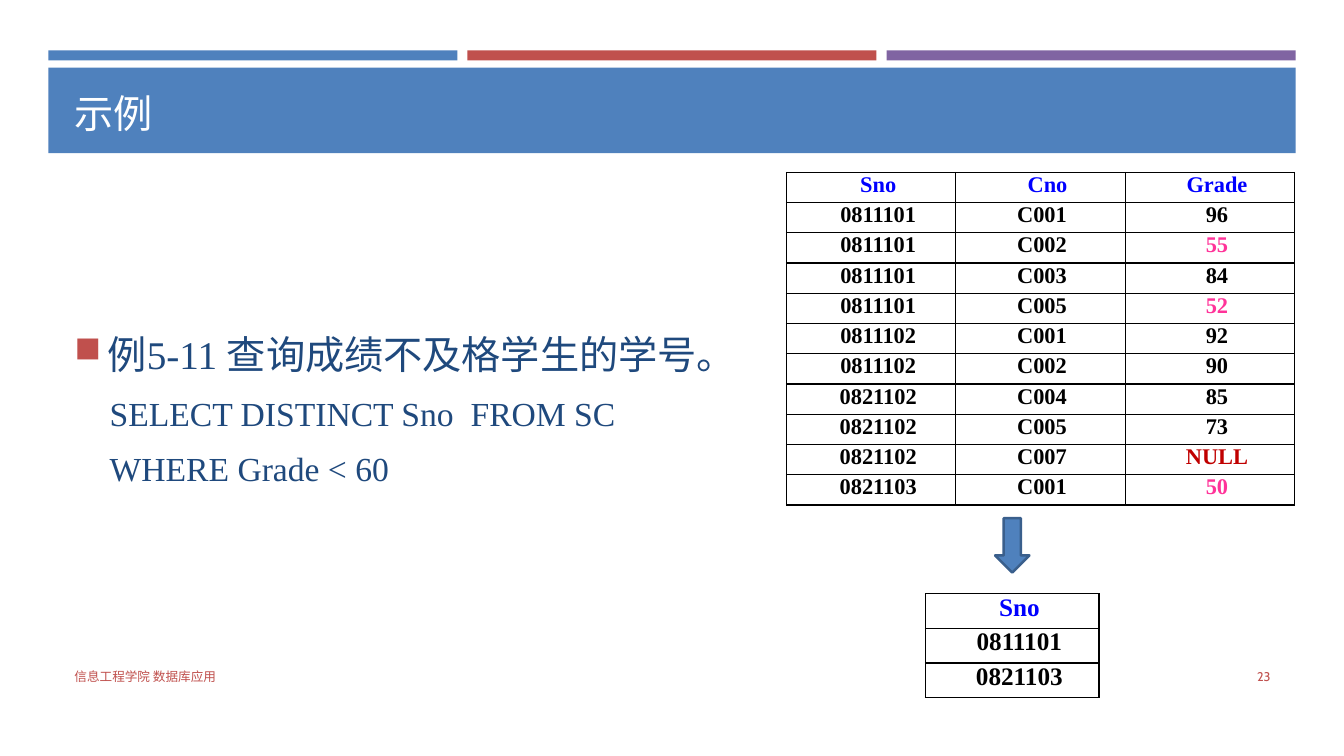
from pptx import Presentation as Deck
from pptx.dml.color import RGBColor as RGB
from pptx.enum.shapes import MSO_SHAPE as Shape
from pptx.enum.text import MSO_ANCHOR as Anchor, PP_ALIGN as Align
from pptx.oxml import parse_xml as xml
from pptx.oxml.ns import nsdecls as names
from pptx.util import Inches, Pt

HUES = {
    "blue": "4F81BD", "red": "C0504D", "plum": "8064A2", "navy": "1F497D",
    "edge": "3A5F8C", "head": "0000FF", "pink": "FF3399", "null": "C00000",
    "black": "000000", "white": "FFFFFF",
}
SERIF = "Times New Roman"
GRADES = [
    ("Sno", "Cno", "Grade"),
    ("0811101", "C001", "96"),
    ("0811101", "C002", "55"),
    ("0811101", "C003", "84"),
    ("0811101", "C005", "52"),
    ("0811102", "C001", "92"),
    ("0811102", "C002", "90"),
    ("0821102", "C004", "85"),
    ("0821102", "C005", "73"),
    ("0821102", "C007", "NULL"),
    ("0821103", "C001", "50"),
]
FAILED = [("Sno",), ("0811101",), ("0821103",)]


def hue(name):
    return RGB.from_string(HUES[name])


def place(box):
    return [Inches(n) for n in box]


def assign(item, form):
    for key, value in form.items():
        setattr(item, key, value)


def write(para, text, size, color, font=SERIF, bold=False):
    run = para.add_run()
    run.text = text
    assign(run.font, {"size": Pt(size), "name": font, "bold": bold})
    run.font.color.rgb = hue(color)


def indent(para, left, first):
    props = para._p.get_or_add_pPr()
    props.set("marL", str(Inches(left)))
    props.set("indent", str(Inches(first)))
    return props


def block(slide, kind, box, fill):
    shape = slide.shapes.add_shape(kind, *place(box))
    shape.shadow.inherit = False
    shape.fill.solid()
    shape.fill.fore_color.rgb = hue(fill)
    shape.line.fill.background()
    return shape


def frame(slide, box, anchor=Anchor.MIDDLE):
    text = slide.shapes.add_textbox(*place(box)).text_frame
    assign(text, {"word_wrap": True, "vertical_anchor": anchor})
    return text


def banner(slide, box):
    left, top, width, height = box
    gap = 0.1
    span = (width - 2 * gap) / 3
    for i, color in enumerate(("blue", "red", "plum")):
        block(slide, Shape.RECTANGLE, (left + i * (span + gap), top, span, 0.1), color)
    block(slide, Shape.RECTANGLE, (left, top + 0.17, width, height - 0.17), "blue")
    title = frame(slide, (left + 0.16, top + 0.27, width - 0.31, 0.63), Anchor.BOTTOM)
    write(title.paragraphs[0], "示例", 28, "white")


def query(slide, box):
    text = frame(slide, box)
    lines = [
        ("例5-11 查询成绩不及格学生的学号。", 28),
        ("SELECT DISTINCT Sno  FROM SC", 24),
        ("WHERE Grade < 60", 24),
    ]
    for i, (line, size) in enumerate(lines):
        para = text.add_paragraph() if i else text.paragraphs[0]
        assign(para, {"space_before": Pt(size / 5), "space_after": Pt(6)})
        write(para, line, size, "navy")
        if i:
            indent(para, 0.35, 0)
            continue
        props = indent(para, 0.33, -0.33)
        for part in (
            f'<a:buClr {names("a")}><a:srgbClr val="{HUES["red"]}"/></a:buClr>',
            f'<a:buSzPct {names("a")} val="92000"/>',
            f'<a:buChar {names("a")} char="■"/>',
        ):
            props.append(xml(part))


def border(cell):
    props = cell._tc.get_or_add_tcPr()
    for i, side in enumerate("LRTB"):
        props.insert(i, xml(
            f'<a:ln{side} {names("a")} w="12700"><a:solidFill>'
            f'<a:srgbClr val="{HUES["black"]}"/></a:solidFill></a:ln{side}>'))


def tint(text, head, col):
    if head:
        return "head"
    if text == "NULL":
        return "null"
    return "pink" if col == 2 and int(text) < 60 else "black"


def grid(slide, box, rows, size):
    table = slide.shapes.add_table(len(rows), len(rows[0]), *place(box)).table
    assign(table, {"first_row": False, "horz_banding": False})
    for row in table.rows:
        row.height = Inches(box[3] / len(rows))
    for r, row in enumerate(rows):
        for c, text in enumerate(row):
            cell = table.cell(r, c)
            assign(cell, {
                "margin_left": Inches(0.07), "margin_right": Inches(0.07),
                "margin_top": 0, "margin_bottom": 0,
            })
            cell.fill.background()
            border(cell)
            para = cell.text_frame.paragraphs[0]
            para.alignment = Align.CENTER
            indent(para, 0, 0.03 if r and c == 1 else 0.14)
            write(para, text, size, tint(text, r == 0, c), bold=True)


def result(slide, box):
    left, top, width, height = box
    grid(slide, (left, top, width, 3.3), GRADES, 16)
    mid = left + width / 2 - 0.28
    arrow = block(slide, Shape.DOWN_ARROW, (mid - 0.17, top + 3.43, 0.34, 0.54), "blue")
    arrow.line.color.rgb = hue("edge")
    arrow.line.width = Pt(1.75)
    grid(slide, (mid - 0.86, top + height - 1.03, 1.72, 1.03), FAILED, 18)


def footer(slide, box):
    left, top, width, height = box
    note = frame(slide, (left, top, 7.56, height)).paragraphs[0]
    write(note, "信息工程学院 数据库应用", 9, "red", "Cabin")
    page = frame(slide, (left + width - 1.15, top, 1.15, height)).paragraphs[0]
    page.alignment = Align.RIGHT
    write(page, "23", 9, "red", "Cabin")


def main():
    deck = Deck()
    assign(deck, {"slide_width": Inches(13.33), "slide_height": Inches(7.5)})
    slide = deck.slides.add_slide(deck.slide_layouts[6])
    banner(slide, (0.48, 0.5, 12.37, 1.02))
    query(slide, (0.64, 1.71, 12.06, 4.7))
    result(slide, (7.8, 1.71, 5.04, 5.21))
    footer(slide, (0.64, 6.51, 12.06, 0.4))
    deck.save("out.pptx")


if __name__ == "__main__":
    main()
